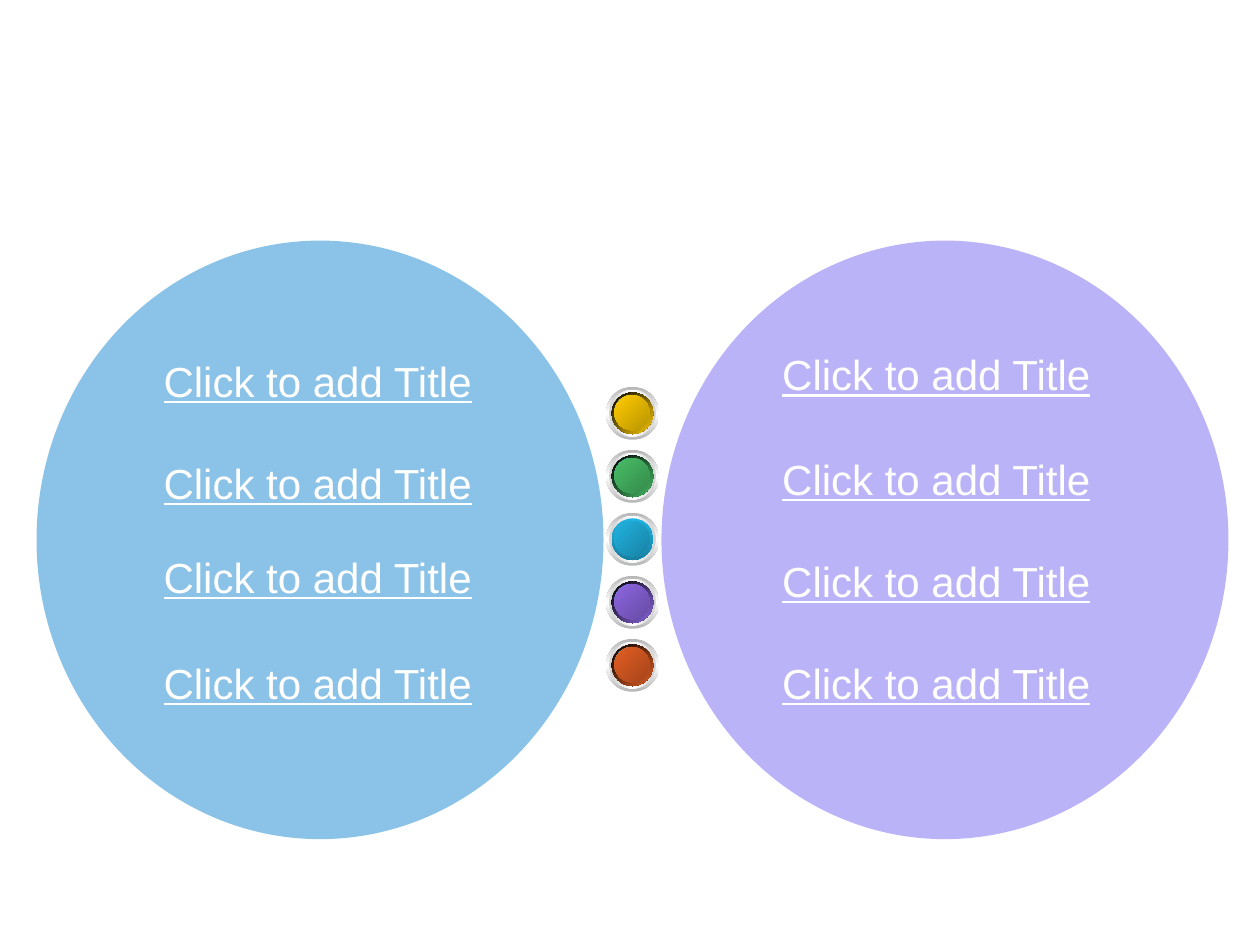
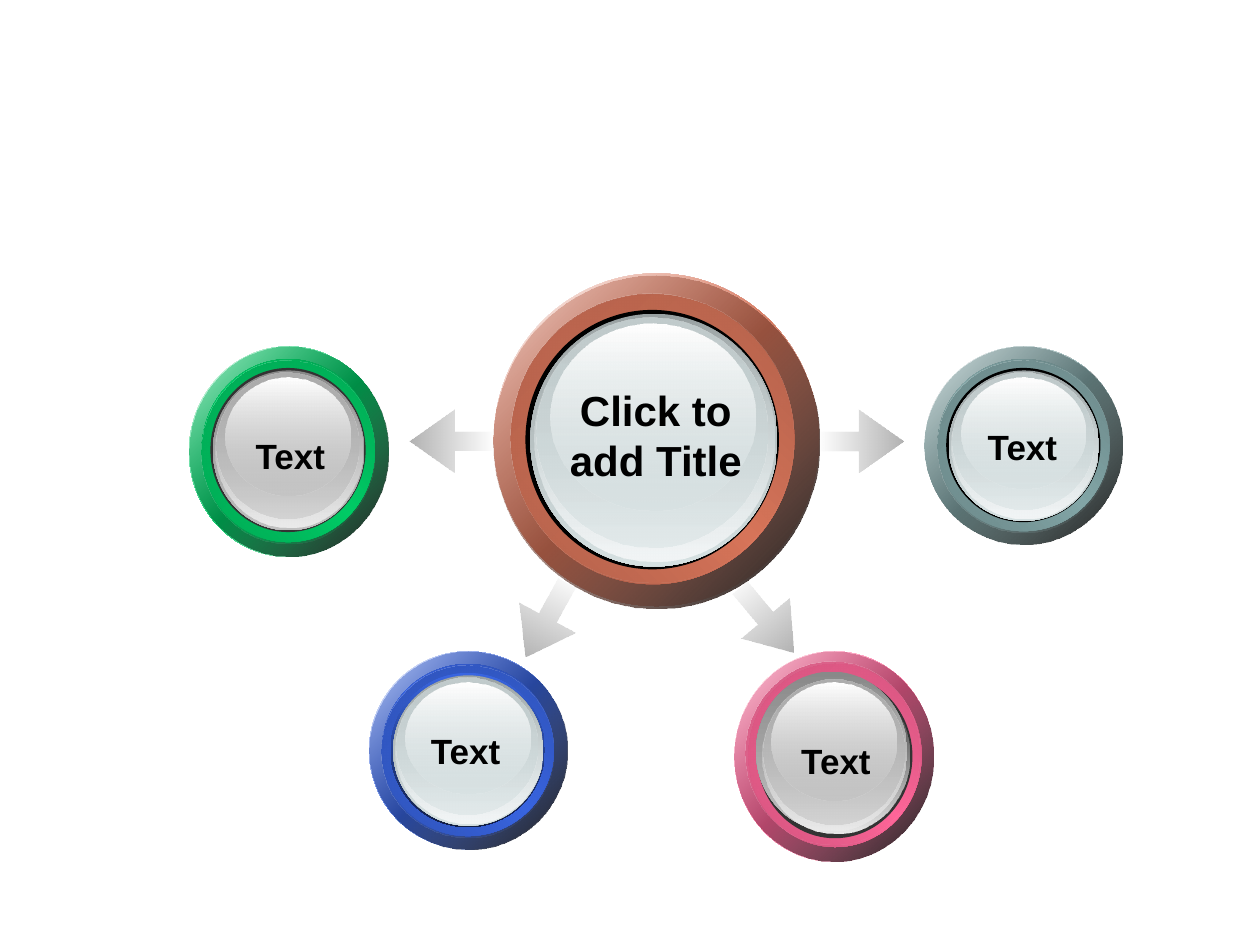
from dataclasses import dataclass

from pptx import Presentation, dml, oxml
from pptx import util as u
from pptx.dml import color
from pptx.enum import shapes, text
from pptx.oxml import ns


@dataclass(frozen=True)
class Theme:
    font: str = "Arial"
    title_size: int = 24
    label_size: int = 20
    white: str = "FFFFFF"
    black: str = "000000"
    charcoal: str = "333333"
    left_disc: str = "8BC2E7"
    right_disc: str = "BBB3F7"
    steel: str = "B6B6B6"
    silver: str = "D1D1D1"
    sky: str = "66C5F4"
    deep_sky: str = "4E97BB"
    arrow: str = "B2B2B2"
    pale_glass: str = "D6E1E2"
    grey_glass: str = "C0C0C0"
    buttons: tuple = ("FFCC00", "48BE67", "21B3E1", "8D67E1", "E35E23")
    copper: str = "D8755A"
    teal: str = "83A6A7"
    pink: str = "FF6699"
    green: str = "00CC66"
    blue: str = "3965E1"


THEME = Theme()

# Width and height of each layer as a share of the whole orb, back to front
LAYER_SCALES = [(1, 1), (1, 1), (0.87, 0.87), (0.87, 0.87), (0.78, 0.78), (0.76, 0.76),
                (0.74, 0.74), (0.71, 0.69), (0.63, 0.56)]
# Left and top of each layer inside its orb, in inches
SMALL_OFFSETS = [(0, 0), (0, 0), (0.1, 0.1), (0.1, 0.11), (0.17, 0.17), (0.19, 0.19),
                 (0.21, 0.2), (0.22, 0.21), (0.29, 0.25)]
PINK_OFFSETS = [(0, 0), (0, 0), (0.11, 0.1), (0.09, 0.08), (0.18, 0.18), (0.17, 0.16),
                (0.22, 0.21), (0.23, 0.22), (0.29, 0.25)]
CENTER_OFFSETS = [(0, 0), (0, 0.02), (0.14, 0.17), (0.13, 0.16), (0.25, 0.29), (0.29, 0.32),
                  (0.32, 0.33), (0.34, 0.35), (0.45, 0.4)]


def blend(hex_color, share, toward="000000"):
    """Keep the given share of a colour and fill the rest with another one."""
    pairs = zip(bytes.fromhex(hex_color), bytes.fromhex(toward))
    return "".join(f"{round(a * share + b * (1 - share)):02X}" for a, b in pairs)


@dataclass(frozen=True)
class Gradient:
    """Evenly spaced stops, each a colour or a (colour, opacity percent) pair."""
    angle: int
    stops: tuple

    def element(self):
        stops = ""
        for index, stop in enumerate(self.stops):
            hex_color, opacity = (stop, 100) if isinstance(stop, str) else stop
            position = 100000 * index // (len(self.stops) - 1)
            stops += (f'<a:gs pos="{position}"><a:srgbClr val="{hex_color}">'
                      f'<a:alpha val="{opacity * 1000}"/></a:srgbClr></a:gs>')
        return oxml.parse_xml(
            f'<a:gradFill {ns.nsdecls("a")} rotWithShape="1"><a:gsLst>{stops}</a:gsLst>'
            f'<a:lin ang="{self.angle * 60000}" scaled="0"/></a:gradFill>')


@dataclass(frozen=True)
class Orb:
    box: tuple
    rim: str
    glass: str
    groove: object
    label: str
    label_box: tuple
    offsets: list
    size: int = THEME.label_size

    def fills(self):
        rim, glass = self.rim, self.glass
        return [
            Gradient(45, (THEME.white, rim, THEME.white)),
            Gradient(45, ((rim, 32), (THEME.black, 90))),
            Gradient(315, (blend(rim, 0.765), rim, blend(rim, 0.765))),
            Gradient(45, (blend(rim, 0.82), (rim, 0))),
            self.groove,
            Gradient(90, (blend(glass, 0.715), glass)),
            Gradient(90, ((glass, 0), blend(glass, 0.32, THEME.white))),
            Gradient(90, (blend(glass, 0.905), (glass, 48))),
            Gradient(90, (THEME.white, (glass, 38))),
        ]


class Deck:
    def __init__(self, theme):
        self.theme = theme
        self.presentation = Presentation()
        self.presentation.slide_width = u.Inches(10)
        self.presentation.slide_height = u.Inches(7.5)
        self.slide = None

    def add_slide(self):
        blank = self.presentation.slide_layouts[6]
        self.slide = self.presentation.slides.add_slide(blank)

    def shape(self, kind, box, fill, parent=None):
        parent = parent or self.slide
        shape = parent.shapes.add_shape(kind, *map(u.Inches, box))
        shape.shadow.inherit = False
        shape.line.fill.background()
        if isinstance(fill, Gradient):
            shape.fill.background()
            properties = shape.element.spPr
            properties.replace(properties.find(ns.qn("a:noFill")), fill.element())
        else:
            shape.fill.solid()
            shape.fill.fore_color.rgb = color.RGBColor.from_string(fill)
        return shape

    def ellipse(self, box, fill, parent=None):
        return self.shape(shapes.MSO_SHAPE.OVAL, box, fill, parent)

    def label(self, box, lines, hex_color, align=text.PP_ALIGN.LEFT, **font_values):
        frame = self.slide.shapes.add_textbox(*map(u.Inches, box)).text_frame
        frame.word_wrap = False
        frame.auto_size = text.MSO_AUTO_SIZE.SHAPE_TO_FIT_TEXT
        frame.text = lines
        for paragraph in frame.paragraphs:
            paragraph.alignment = align
            for run in paragraph.runs:
                for name, value in {"name": self.theme.font, **font_values}.items():
                    setattr(run.font, name, value)
                run.font.color.rgb = color.RGBColor.from_string(hex_color)

    def button(self, left, top, hue, edge):
        """Draw a small metal-rimmed button of concentric discs."""
        theme = self.theme
        layers = [
            (0, 0.42, Gradient(90, (theme.steel, theme.white, theme.steel))),
            (0.025, 0.37, Gradient(0, (theme.silver, theme.white, theme.silver))),
            (0.045, 0.33, Gradient(45, (theme.white, theme.sky, theme.white))),
            (0.045, 0.33, edge),
            (0.065, 0.28, Gradient(315, (theme.deep_sky, theme.sky, theme.deep_sky))),
            (0.065, 0.28, Gradient(45, (hue, blend(hue, 0.73)))),
        ]
        group = self.slide.shapes.add_group_shape()
        for inset, size, fill in layers:
            self.ellipse((left + inset, top + inset, size, size), fill, group)

    def orb(self, orb):
        left, top, width, height = orb.box
        group = self.slide.shapes.add_group_shape()
        for (dx, dy), (across, down), fill in zip(orb.offsets, LAYER_SCALES, orb.fills()):
            self.ellipse((left + dx, top + dy, width * across, height * down), fill, group)
        self.label(orb.label_box, orb.label, self.theme.black, text.PP_ALIGN.CENTER,
                   size=u.Pt(orb.size), bold=True)

    def arrow(self, left, top, rotation):
        fade = Gradient(0, (self.theme.arrow, (self.theme.arrow, 0)))
        shape = self.shape(shapes.MSO_SHAPE.LEFT_ARROW, (left, top, 0.67, 0.5), fade)
        shape.adjustments[0], shape.adjustments[1] = 0.312, 0.715
        shape.rotation = rotation


def build_two_discs(deck):
    theme = deck.theme
    deck.add_slide()
    for left, fill in ((5.25, theme.right_disc), (0.29, theme.left_disc)):
        deck.ellipse((left, 1.91, 4.5, 4.75), fill)
    for left, tops in ((6.11, (2.72, 3.55, 4.36, 5.17)), (1.2, (2.77, 3.58, 4.33, 5.17))):
        for top in tops:
            deck.label((left, top, 2.67, 0.5), "Click to add Title", theme.white,
                       size=u.Pt(theme.title_size), underline=True)
    for index, hue in enumerate(theme.buttons):
        edge = Gradient(45, (theme.black, hue))
        if index == 2:
            edge = Gradient(90, (hue, blend(hue, 0.715)))
        deck.button(4.81, 3.07 + 0.5 * index, hue, edge)


def build_hub(deck):
    theme = deck.theme
    blue_groove = Gradient(90, (theme.blue, blend(theme.blue, 0.295)))
    deck.add_slide()
    for orb in (
        Orb((3.92, 2.17, 2.58, 2.64), theme.copper, theme.pale_glass, theme.black,
            "Click to\nadd Title", (4.42, 3, 1.57, 0.9), CENTER_OFFSETS, theme.title_size),
        Orb((7.34, 2.75, 1.57, 1.57), theme.teal, theme.pale_glass, theme.black,
            "Text", (7.73, 3.33, 0.77, 0.43), SMALL_OFFSETS),
        Orb((5.83, 5.17, 1.58, 1.67), theme.pink, theme.grey_glass, theme.charcoal,
            "Text", (6.25, 5.82, 0.77, 0.43), PINK_OFFSETS),
        Orb((1.5, 2.75, 1.58, 1.67), theme.green, theme.grey_glass, theme.charcoal,
            "Text", (1.92, 3.4, 0.77, 0.43), SMALL_OFFSETS),
        Orb((2.93, 5.17, 1.57, 1.57), theme.blue, theme.pale_glass, blue_groove,
            "Text", (3.31, 5.74, 0.77, 0.43), SMALL_OFFSETS),
    ):
        deck.orb(orb)
    for left, top, rotation in ((6.5, 3.25, 180), (4, 4.67, 298.6),
                                (3.25, 3.25, 0), (5.75, 4.67, 230.3)):
        deck.arrow(left, top, rotation)


def main():
    deck = Deck(THEME)
    build_two_discs(deck)
    build_hub(deck)
    deck.presentation.save("out.pptx")


if __name__ == "__main__":
    main()
